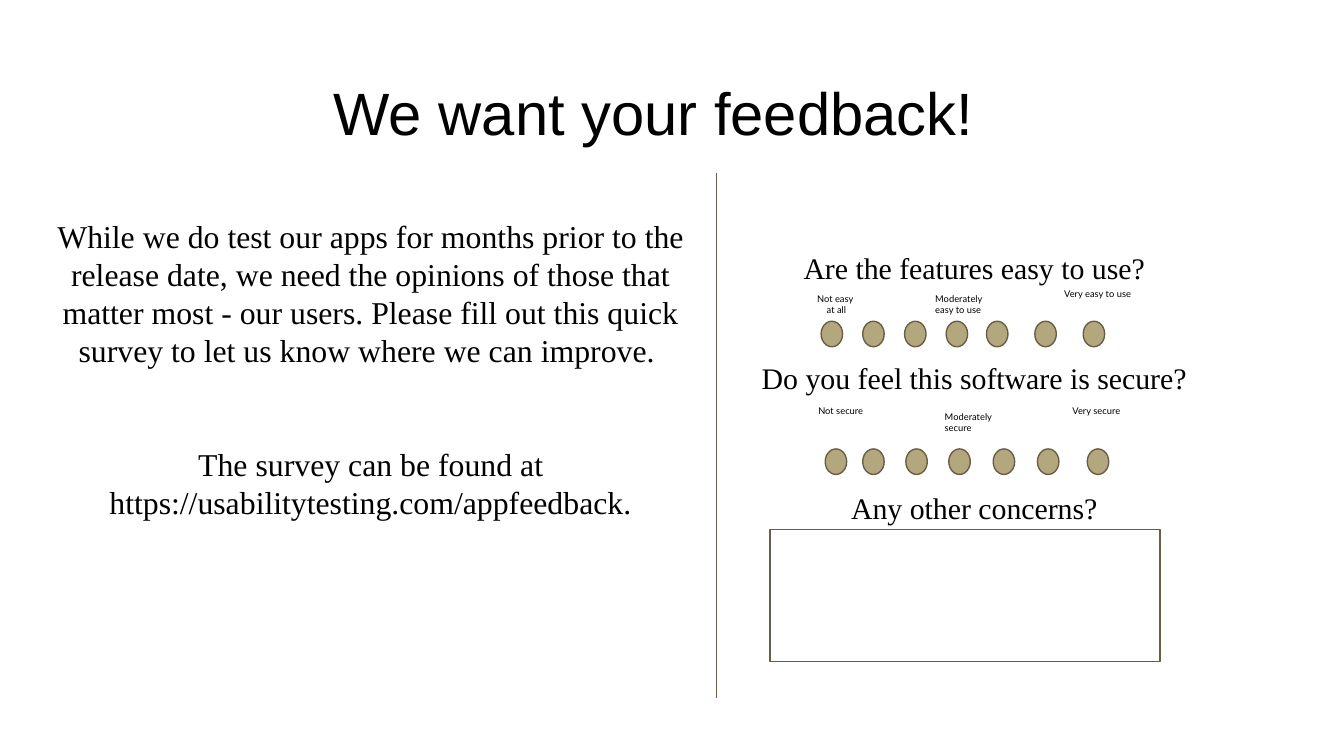
from dataclasses import dataclass

from lxml import etree
from pptx import Presentation
from pptx.dml.color import RGBColor
from pptx.enum.shapes import MSO_CONNECTOR, MSO_SHAPE
from pptx.enum.text import MSO_ANCHOR, MSO_AUTO_SIZE, PP_ALIGN
from pptx.oxml.ns import qn
from pptx.util import Pt

LEFT, CENTER = PP_ALIGN.LEFT, PP_ALIGN.CENTER
TOP, MIDDLE = MSO_ANCHOR.TOP, MSO_ANCHOR.MIDDLE
NO_AUTOFIT = MSO_AUTO_SIZE.NONE
OVAL, RECTANGLE = MSO_SHAPE.OVAL, MSO_SHAPE.RECTANGLE
STRAIGHT = MSO_CONNECTOR.STRAIGHT
TWO_CONTENT_LAYOUT = 3


@dataclass(frozen=True)
class Theme:
    text: RGBColor = RGBColor(0x00, 0x00, 0x00)
    paper: RGBColor = RGBColor(0xFF, 0xFF, 0xFF)
    circle: RGBColor = RGBColor(0xB3, 0xA7, 0x7D)
    outline: RGBColor = RGBColor(0x69, 0x5D, 0x46)
    title_font: str = "Arial"
    body_font: str = "Times New Roman"
    label_font: str = "Lato"
    title_size: float = 32
    body_size: float = 17
    question_size: float = 16
    label_size: float = 5
    line_width: float = 0.75
    inset: float = 7.2


class SurveySlide:
    def __init__(self, slide, theme):
        self.slide = slide
        self.theme = theme

    def set_text(self, shape, lines, font, size, align=CENTER, anchor=TOP):
        frame = shape.text_frame
        frame.text = "\n".join(lines)
        frame.word_wrap = True
        frame.auto_size = NO_AUTOFIT
        frame.vertical_anchor = anchor
        frame.margin_left = frame.margin_right = Pt(self.theme.inset)
        frame.margin_top = frame.margin_bottom = Pt(self.theme.inset)
        for paragraph in frame.paragraphs:
            paragraph.alignment = align
            for run in paragraph.runs:
                run.font.name = font
                run.font.size = Pt(size)
                run.font.color.rgb = self.theme.text
        return frame.paragraphs

    def place(self, shape, left, top, width, height):
        shape.left, shape.top = Pt(left), Pt(top)
        shape.width, shape.height = Pt(width), Pt(height)

    def title(self, text, *box):
        shape = self.slide.shapes.title
        self.place(shape, *box)
        theme = self.theme
        self.set_text(shape, [text], theme.title_font, theme.title_size, anchor=MIDDLE)

    def body(self, index, lines, gaps, size, line_height, *box):
        """Fill a body placeholder without bullets; gaps are the spaces before its paragraphs."""
        shape = self.slide.placeholders[index]
        self.place(shape, *box)
        paragraphs = self.set_text(shape, lines, self.theme.body_font, size)
        for paragraph, gap in zip(paragraphs, gaps):
            paragraph.space_before = Pt(gap)
            paragraph.line_spacing = Pt(line_height)
            properties = paragraph._p.get_or_add_pPr()
            properties.set("marL", "0")
            properties.set("indent", "0")
            etree.SubElement(properties, qn("a:buNone"))

    def label(self, lines, left, top, width, align=LEFT):
        height = 2 * self.theme.inset + 6.1 * len(lines)
        shape = self.slide.shapes.add_textbox(Pt(left), Pt(top), Pt(width), Pt(height))
        self.set_text(shape, lines, self.theme.label_font, self.theme.label_size, align)

    def shape(self, kind, fill, *box):
        shape = self.slide.shapes.add_shape(kind, *map(Pt, box))
        shape.shadow.inherit = False
        shape.fill.solid()
        shape.fill.fore_color.rgb = fill
        shape.line.color.rgb = self.theme.outline
        shape.line.width = Pt(self.theme.line_width)

    def rating_row(self, lefts, top):
        for left in lefts:
            self.shape(OVAL, self.theme.circle, left, top, 11.5, 13.7)

    def divider(self, x, top, bottom):
        line = self.slide.shapes.add_connector(STRAIGHT, Pt(x), Pt(top), Pt(x), Pt(bottom))
        line.line.color.rgb = self.theme.outline
        line.line.width = Pt(self.theme.line_width)
        etree.SubElement(line._element.spPr, qn("a:effectLst"))


def main():
    presentation = Presentation()
    presentation.slide_width, presentation.slide_height = Pt(720), Pt(405)
    layout = presentation.slide_layouts[TWO_CONTENT_LAYOUT]
    theme = Theme()
    survey = SurveySlide(presentation.slides.add_slide(layout), theme)

    survey.title("We want your feedback!", 52.6, 33.1, 595.4, 53.3)
    survey.body(
        1,
        [
            "While we do test our apps for months prior to the release date, "
            "we need the opinions of those that matter most - our users. "
            "Please fill out this quick survey to let us know where we can improve. ",
            "The survey can be found at https://usabilitytesting.com/appfeedback.",
        ],
        [0, 41], theme.body_size, 20.4,
        23, 108.7, 351.4, 250.6,
    )
    survey.body(
        2,
        [
            "Are the features easy to use?",
            "Do you feel this software is secure?",
            "Any other concerns?",
        ],
        [0, 40.5, 51.2], theme.question_size, 18.4,
        347, 127.2, 350, 232,
    )

    survey.rating_row([439.9, 462.2, 484.6, 506.9, 528.5, 554.4, 580.3], 172.1)
    survey.label(["Not easy", " at all"], 414, 150, 67, CENTER)
    survey.label(["Moderately", "easy to use"], 493.9, 150, 58.3)
    survey.label(["Very easy to use"], 563, 147, 58.3)

    survey.rating_row([442.1, 462.2, 485.3, 508.3, 532.1, 555.8, 582.5], 240.5)
    survey.label(["Not secure"], 431.3, 210, 67)
    survey.label(["Moderately", "secure"], 499, 213, 58.3)
    survey.label(["Very secure"], 567.4, 210, 58.3)

    survey.divider(383.8, 92.9, 373.7)
    survey.shape(RECTANGLE, theme.paper, 412.6, 283.7, 208.8, 70.6)

    presentation.save("out.pptx")


if __name__ == "__main__":
    main()
